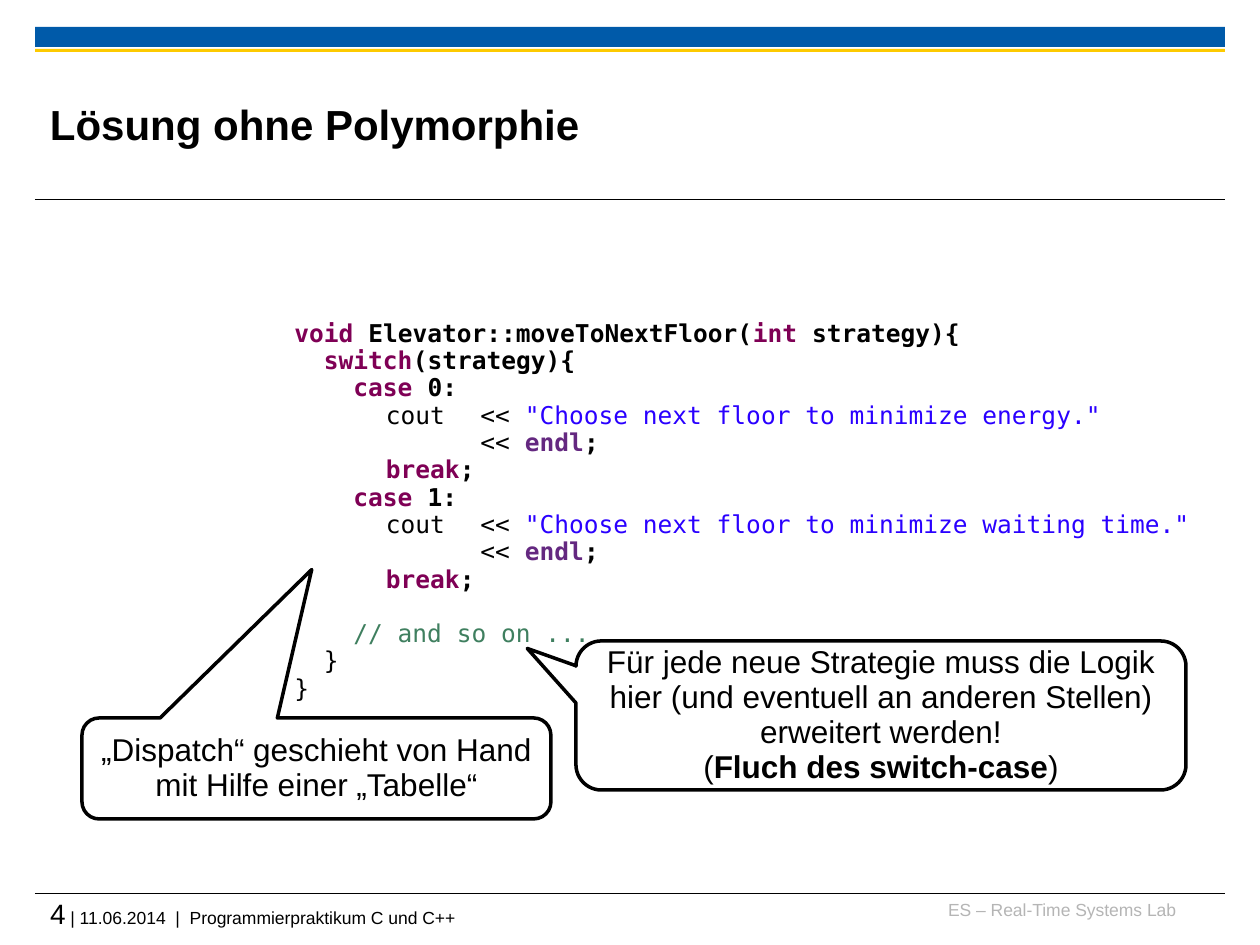
"""Build the slide on the solution without polymorphism."""
from lxml import etree
from pptx import Presentation
from pptx import util as u
from pptx.dml.color import RGBColor
from pptx.enum import shapes, text
from pptx.oxml.ns import qn

EMU_PER_PX = u.Inches(1) / 126
BLACK = RGBColor(0x00, 0x00, 0x00)
WHITE = RGBColor(0xFF, 0xFF, 0xFF)
BLUE = RGBColor(0x00, 0x5A, 0xA9)
YELLOW = RGBColor(0xFD, 0xCA, 0x00)
GREY = RGBColor(0xB5, 0xB5, 0xB5)
KEYWORD = RGBColor(0x7F, 0x00, 0x55)
STRING = RGBColor(0x2A, 0x00, 0xFF)
SYMBOL = RGBColor(0x64, 0x28, 0x80)
COMMENT = RGBColor(0x3F, 0x7F, 0x5F)
SANS = "Arial"
MONO = "DejaVu Sans Mono"
TAB_STOPS = (62, 124, 186)
CODE_LINE = 27


def px(length):
    """Turn pixels into EMU."""
    return u.Emu(round(length * EMU_PER_PX))


def place(box):
    """Turn a box in pixels into EMU values."""
    return [px(length) for length in box]


def write(frame, paragraphs, size=18, font=SANS, color=BLACK, bold=False,
          align=text.PP_ALIGN.LEFT, anchor=text.MSO_ANCHOR.TOP, spacing=None,
          inset=None, tabs=()):
    """Fill a frame with paragraphs of (text, overrides) runs."""
    frame.word_wrap = True
    frame.vertical_anchor = anchor
    if inset is not None:
        frame.margin_left = frame.margin_right = px(inset)
        frame.margin_top = frame.margin_bottom = px(inset)
    for index, runs in enumerate(paragraphs):
        paragraph = frame.add_paragraph() if index else frame.paragraphs[0]
        if tabs:
            tab_list = etree.SubElement(paragraph._p.get_or_add_pPr(), qn("a:tabLst"))
            for stop in tabs:
                etree.SubElement(tab_list, qn("a:tab"), pos=str(px(stop)), algn="l")
        paragraph.alignment = align
        if spacing:
            paragraph.line_spacing = spacing
        for content, overrides in runs:
            if content == "\n":
                paragraph.add_line_break()
                continue
            run = paragraph.add_run()
            run.text = content
            run.font.name = font
            run.font.size = u.Pt(overrides.get("size", size))
            run.font.bold = overrides.get("bold", bold)
            run.font.color.rgb = overrides.get("color", color)


def add_text(slide, box, paragraphs, **style):
    """Add a text box and return its frame."""
    frame = slide.shapes.add_textbox(*place(box)).text_frame
    write(frame, paragraphs, **style)
    return frame


def add_bar(slide, box, color):
    """Add a plain coloured bar."""
    shape = slide.shapes.add_shape(shapes.MSO_SHAPE.RECTANGLE, *place(box))
    shape.shadow.inherit = False
    shape.fill.solid()
    shape.fill.fore_color.rgb = color
    shape.line.fill.background()


def add_rule(slide, left, top, width):
    """Add a thin horizontal rule."""
    rule = slide.shapes.add_connector(
        shapes.MSO_CONNECTOR.STRAIGHT, *place((left, top, left + width, top)))
    rule.line.color.rgb = BLACK
    rule.line.width = u.Pt(0.6)
    etree.SubElement(rule._element.spPr, qn("a:effectLst"))


def add_header(slide, box):
    """Add the coloured bars, the title and the rule below it."""
    left, top, width, height = box
    add_bar(slide, (left, top, width, 20), BLUE)
    add_bar(slide, (left, top + 22, width, 3), YELLOW)
    add_text(slide, (left + 15, top + 39, 948, 116),
             [[("Lösung ohne Polymorphie", {})]],
             size=24, bold=True, anchor=text.MSO_ANCHOR.MIDDLE, inset=0)
    add_rule(slide, left, top + height, width)


def add_footer(slide, box):
    """Add the rule, the page line and the name of the lab."""
    left, top, width, height = box
    add_rule(slide, left, top, width)
    add_text(slide, (left + 893, top + 5, 248, 32),
             [[("ES – Real-Time Systems Lab", {})]],
             size=10, color=GREY, align=text.PP_ALIGN.RIGHT, inset=0)
    add_text(slide, (left + 15, top + 3, width - 15, height - 3),
             [[("4", {"size": 16}),
               (" | 11.06.2014  |  Programmierpraktikum C und C++", {})]],
             size=10, inset=0)


def case_lines(number, cout, message):
    """Return the code lines of one case branch."""
    plain = {"bold": False}
    return [
        [("    case", {"color": KEYWORD}), (f" {number}:", {})],
        [(f"\t  {cout}\t<< ", plain), (f'"{message}"', {"color": STRING, "bold": False})],
        [("\t\t\t<< ", plain), ("endl", {"color": SYMBOL}), (";", {})],
        [("\t  break", {"color": KEYWORD}), (";", {})],
    ]


def add_code(slide, box):
    """Add the code listing, with a gap above its comment."""
    keyword = {"color": KEYWORD}
    lines = [
        [("void", keyword), (" Elevator::moveToNextFloor(", {}),
         ("int", keyword), (" strategy){", {})],
        [("  switch", keyword), ("(strategy){", {})],
        *case_lines(0, "cout", "Choose next floor to minimize energy."),
        *case_lines(1, "cout ", "Choose next floor to minimize waiting time."),
        [("    // and so on ...", {"color": COMMENT, "bold": False})],
        [("  }", {"bold": False})],
        [("}", {"bold": False})],
    ]
    frame = add_text(slide, box, lines, size=14, font=MONO, bold=True,
                     spacing=0.93, tabs=TAB_STOPS)
    frame.paragraphs[-3].space_before = px(CODE_LINE)


def add_callout(slide, box, tip, runs):
    """Add a rounded callout whose tip is relative to its centre."""
    shape = slide.shapes.add_shape(
        shapes.MSO_SHAPE.ROUNDED_RECTANGULAR_CALLOUT, *place(box))
    shape.shadow.inherit = False
    for index, value in enumerate((*tip, 0.17)):
        shape.adjustments[index] = value
    shape.fill.solid()
    shape.fill.fore_color.rgb = WHITE
    shape.line.color.rgb = BLACK
    shape.line.width = u.Pt(2)
    write(shape.text_frame, [runs], align=text.PP_ALIGN.CENTER,
          anchor=text.MSO_ANCHOR.MIDDLE, spacing=0.93)


def main():
    """Build and save the presentation."""
    presentation = Presentation()
    presentation.slide_width, presentation.slide_height = place((1260, 945))
    slide = presentation.slides.add_slide(presentation.slide_layouts[6])
    add_header(slide, (35, 27, 1190, 173))
    add_footer(slide, (35, 894, 1190, 44))
    add_code(slide, (282, 314, 963, 399))
    add_callout(slide, (576, 641, 610, 149), (-0.58, -0.45), [
        ("Für jede neue Strategie muss die Logik hier "
         "(und eventuell an anderen Stellen) erweitert werden!", {}),
        ("\n", {}), ("(", {}), ("Fluch des switch-case", {"bold": True}), (")", {})])
    add_callout(slide, (82, 718, 469, 101), (-0.01, -1.97), [
        ("„Dispatch“ geschieht von Hand mit Hilfe einer „Tabelle“", {})])
    presentation.save("out.pptx")


if __name__ == "__main__":
    main()
